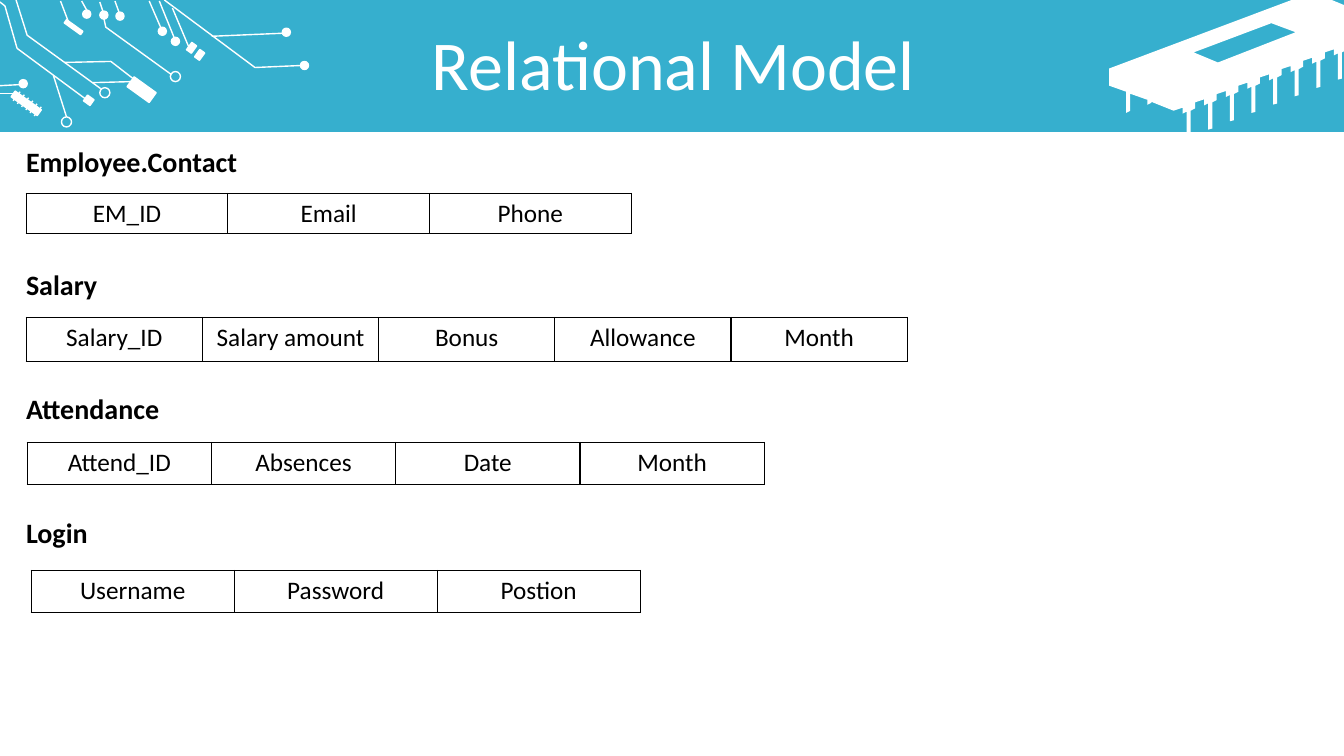
from dataclasses import dataclass

from lxml.etree import SubElement
from pptx import Presentation
from pptx.dml.color import RGBColor as Rgb
from pptx.enum.shapes import MSO_CONNECTOR as Connector, MSO_SHAPE as Preset
from pptx.enum.text import MSO_ANCHOR as Anchor, PP_ALIGN as Align
from pptx.oxml.ns import qn
from pptx.util import Inches, Pt

Point = tuple[float, float]


@dataclass(frozen=True)
class Theme:
    font: str = "Calibri"
    banner: Rgb = Rgb(0x36, 0xAF, 0xCE)
    light: Rgb = Rgb(0xFF, 0xFF, 0xFF)
    ink: Rgb = Rgb(0, 0, 0)
    title_size: int = 50
    heading_size: int = 20
    field_size: int = 18
    line_width: int = 1


@dataclass(frozen=True)
class Relation:
    name: str
    left: float
    top: float
    width: float
    height: float
    fields: tuple[str, ...]


@dataclass(frozen=True)
class Chip:
    left: float
    top: float
    width: float
    height: float


THEME = Theme()
TILT = 35.7
PAD_SIZE = 0.08
RING_SIZE = 0.1
PIN_COUNT = 8
PIN_PITCH = (-0.2143, 0.0826)

RELATIONS = (
    Relation("Employee.Contact", 0.26, 1.92, 6, 0.4, ("EM_ID", "Email", "Phone")),
    Relation("Salary", 0.26, 3.15, 8.74, 0.44,
             ("Salary_ID", "Salary amount", "Bonus", "Allowance", "Month")),
    Relation("Attendance", 0.27, 4.39, 7.31, 0.42,
             ("Attend_ID", "Absences", "Date", "Month")),
    Relation("Login", 0.31, 5.66, 6.04, 0.42, ("Username", "Password", "Postion")),
)

COMPONENTS = (
    Chip(1.27, 0.83, 0.27, 0.12),
    Chip(0.63, 0.25, 0.2, 0.04),
    Chip(0.84, 0.96, 0.08, 0.07),
    Chip(1.87, 0.43, 0.06, 0.09),
    Chip(1.95, 0.5, 0.06, 0.09),
    Chip(0.1, 0.99, 0.32, 0.07),
)
PADS = ((2.98, 0.61), (2.8, 0.28), (0.82, 0.1), (0.99, 0.11), (1.15, 0.12),
        (0.19, 0.79), (1.7, 0.37), (1.57, 0.27))
RINGS = ((1.69, 0.71), (0.99, 0.87), (0.61, 1.16))
WIRES = (
    ((0.6, 0.01), (0.68, 0.22)),
    ((0.81, 0.01), (0.86, 0.1)),
    ((0.99, 0.02), (1.02, 0.11)),
    ((1.14, 0.01), (1.18, 0.12)),
    ((1.48, 0.01), (1.61, 0.31)),
    ((1.58, 0.01), (1.73, 0.38)),
    ((2.1, 0.36), (2.8, 0.33)),
    ((1.71, 0.08), (1.87, 0.46)),
    ((0, 0.85), (0.19, 0.84)),
    ((0, 0.93), (0.14, 0.93)),
    ((0.53, 0.75), (0.66, 1.16)),
    ((0.92, 0.82), (1.3, 0.81)),
)
COIL = tuple(((0.13 + 0.042 * turn, 1 + 0.03 * turn), (0.2 + 0.042 * turn, 0.91 + 0.03 * turn))
             for turn in range(6))
TRACES = (
    ((1.63, 0), (2.53, 0.67), (2.99, 0.65)),
    ((0.16, 0), (0.27, 0.35), (1, 0.88)),
    ((0, 0.02), (0.05, 0.06), (0.17, 0.48), (0.86, 0.99)),
    ((0.64, 0.62), (1.1, 0.61), (1.32, 0.78)),
    ((1.03, 0.18), (1.05, 0.27), (1.7, 0.74)),
)
CHIP_WINDOW = ((12.61, 0.23), (11.84, 0.52), (12.08, 0.62), (12.85, 0.32))
CHIP_TOP = ((11, 0.68), (12.81, 0), (13.21, 0), (13.33, 0.05), (13.33, 0.51))
CHIP_PIN = ((13.31, 0.52), (13.31, 0.78), (13.27, 0.79), (13.27, 0.53),
            (13.23, 0.55), (13.23, 0.49), (13.14, 0.52), (13.14, 0.58))
CHIP_SIDE = ((11.42, 1.01), (11.42, 1.02), (11.38, 1.04), (11.38, 0.99), (11.21, 0.93),
             (11.21, 1.1), (11.17, 1.12), (11.17, 0.91), (11, 0.85))


def write(paragraph, text: str, *, size: int, color: Rgb = THEME.ink,
          bold: bool = False, align: Align = Align.LEFT, before: float = 0,
          spacing: float = 1.0) -> None:
    run = paragraph.add_run()
    run.text = text
    run.font.name = THEME.font
    run.font.size = Pt(size)
    run.font.bold = bold
    run.font.color.rgb = color
    paragraph.alignment = align
    paragraph.space_before = Pt(before)
    paragraph.line_spacing = spacing


def paint(shape, fill: Rgb | None, line: Rgb | None) -> None:
    shape.shadow.inherit = False
    if fill is None:
        shape.fill.background()
    else:
        shape.fill.solid()
        shape.fill.fore_color.rgb = fill
    if line is None:
        shape.line.fill.background()
    else:
        shape.line.color.rgb = line
        shape.line.width = Pt(THEME.line_width)


def add_preset(shapes, kind: Preset, box: Chip, fill: Rgb | None,
               line: Rgb | None = None, tilt: float = 0) -> None:
    shape = shapes.add_shape(kind, Inches(box.left), Inches(box.top),
                             Inches(box.width), Inches(box.height))
    shape.rotation = tilt
    paint(shape, fill, line)


def add_outline(shapes, contours: tuple[tuple[Point, ...], ...], *, close: bool,
                fill: Rgb | None, line: Rgb | None) -> None:
    scaled = [[(Inches(x), Inches(y)) for x, y in contour] for contour in contours]
    builder = shapes.build_freeform(*scaled[0][0])
    builder.add_line_segments(scaled[0][1:], close=close)
    for contour in scaled[1:]:
        builder.move_to(*contour[0])
        builder.add_line_segments(contour[1:], close=close)
    paint(builder.convert_to_shape(), fill, line)


def add_wire(shapes, start: Point, end: Point) -> None:
    wire = shapes.add_connector(Connector.STRAIGHT, *map(Inches, start + end))
    wire.line.color.rgb = THEME.light
    wire.line.width = Pt(THEME.line_width)
    SubElement(wire.element.spPr, qn("a:effectLst"))


def add_banner(shapes) -> None:
    add_preset(shapes, Preset.RECTANGLE, Chip(0, 0, 13.33, 1.31), THEME.banner)
    pins = tuple((x + pin * PIN_PITCH[0], y + pin * PIN_PITCH[1])
                 for pin in range(PIN_COUNT) for x, y in CHIP_PIN)
    body = CHIP_TOP + pins[:-1] + CHIP_SIDE
    add_outline(shapes, (CHIP_WINDOW, body), close=True, fill=THEME.light, line=None)
    for component in COMPONENTS:
        add_preset(shapes, Preset.RECTANGLE, component, THEME.light, THEME.light, TILT)
    for spots, size, fill in ((PADS, PAD_SIZE, THEME.light), (RINGS, RING_SIZE, None)):
        for left, top in spots:
            add_preset(shapes, Preset.OVAL, Chip(left, top, size, size), fill, THEME.light)
    for start, end in WIRES + COIL:
        add_wire(shapes, start, end)
    for trace in TRACES:
        add_outline(shapes, (trace,), close=False, fill=None, line=THEME.light)


def add_title(shapes, text: str) -> None:
    title = shapes.title
    shapes.element.append(title.element)
    title.left, title.top, title.width, title.height = map(Inches, (0.35, 0.3, 12.66, 0.79))
    title.text_frame.vertical_anchor = Anchor.MIDDLE
    write(title.text_frame.paragraphs[0], text, size=THEME.title_size, color=THEME.light,
          align=Align.CENTER, before=10, spacing=0.8)


def add_headings(shapes) -> None:
    frame = shapes.add_textbox(*map(Inches, (0.16, 1.38, 13.03, 5.69))).text_frame
    frame.word_wrap = True
    for index, relation in enumerate(RELATIONS):
        heading = frame.add_paragraph() if index else frame.paragraphs[0]
        write(heading, relation.name, size=THEME.heading_size, bold=True,
              before=64.5 if index else 0)


def add_borders(cell) -> None:
    properties = cell._tc.get_or_add_tcPr()
    for index, side in enumerate(("a:lnL", "a:lnR", "a:lnT", "a:lnB")):
        border = SubElement(properties, qn(side), w=str(Pt(THEME.line_width)))
        fill = SubElement(border, qn("a:solidFill"))
        SubElement(fill, qn("a:srgbClr"), val=str(THEME.ink))
        properties.insert(index, border)


def add_relation(shapes, relation: Relation) -> None:
    box = map(Inches, (relation.left, relation.top, relation.width, relation.height))
    table = shapes.add_table(1, len(relation.fields), *box).table
    table.first_row = table.horz_banding = False
    for cell, field in zip(table.iter_cells(), relation.fields):
        cell.fill.background()
        add_borders(cell)
        write(cell.text_frame.paragraphs[0], field, size=THEME.field_size, align=Align.CENTER)


def main() -> None:
    deck = Presentation()
    deck.slide_width, deck.slide_height = Inches(13.33), Inches(7.5)
    shapes = deck.slides.add_slide(deck.slide_layouts[5]).shapes
    add_banner(shapes)
    add_title(shapes, "Relational Model")
    add_headings(shapes)
    for relation in RELATIONS:
        add_relation(shapes, relation)
    deck.save("out.pptx")


if __name__ == "__main__":
    main()
